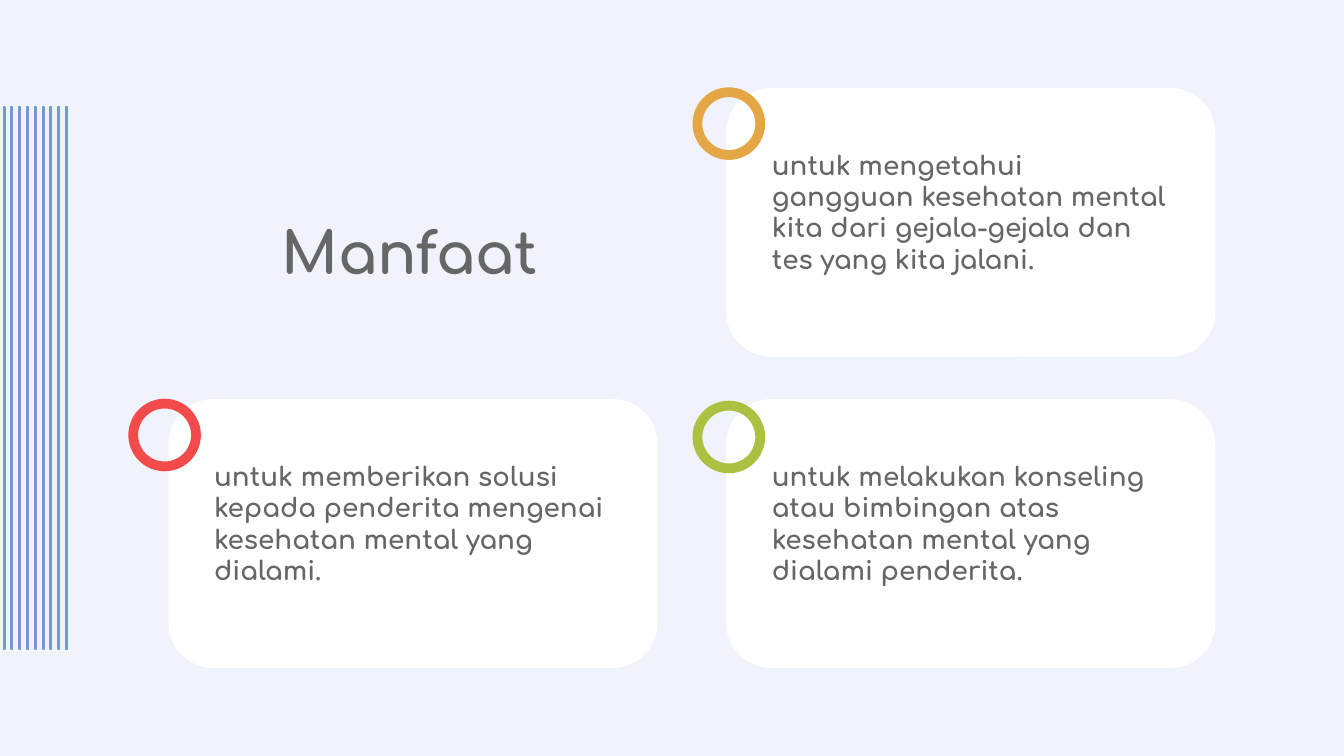
"""Build the "Manfaat" slide: a title, three ringed cards and a striped edge."""
from dataclasses import dataclass

from pptx import Presentation
from pptx.dml.color import RGBColor as Rgb
from pptx.enum.shapes import MSO_SHAPE as Kind
from pptx.enum.text import MSO_ANCHOR as Anchor
from pptx.util import Inches, Pt


@dataclass(frozen=True)
class Theme:
    font: str = "Comfortaa"
    back: str = "F0F3FB"
    card: str = "FFFFFF"
    ink: str = "666666"
    blue: str = "739BCF"
    red: str = "F34B4B"
    gold: str = "E5A645"
    green: str = "ACC141"
    head: float = 31
    body: float = 14


def write(box, text, theme, size, bold=True):
    frame = box.text_frame
    frame.word_wrap = True
    frame.vertical_anchor = Anchor.TOP
    frame.margin_left = frame.margin_right = Inches(0.1)
    frame.margin_top = frame.margin_bottom = Inches(0.1)
    run = frame.paragraphs[0].add_run()
    run.text = text
    font = run.font
    font.name, font.size, font.bold = theme.font, Pt(size), bold
    font.color.rgb = Rgb.from_string(theme.ink)


class Page:
    """Hold the theme and the slide, measured on a grid of columns and rows."""
    cols, rows = 100, 56.25

    def __init__(self, deck, theme):
        self.theme = theme
        self.wide, self.high = deck.slide_width, deck.slide_height
        self.slide = deck.slides.add_slide(deck.slide_layouts[6])
        fill = self.slide.background.fill
        fill.solid()
        fill.fore_color.rgb = Rgb.from_string(theme.back)

    def place(self, col, row, wide, high):
        x, y = self.wide / self.cols, self.high / self.rows
        return [round(n) for n in (col * x, row * y, wide * x, high * y)]

    def shape(self, kind, spot, color, bend=None, line=None):
        item = self.slide.shapes.add_shape(kind, *self.place(*spot))
        item.shadow.inherit = False
        item.fill.solid()
        item.fill.fore_color.rgb = Rgb.from_string(color)
        if bend is not None:
            item.adjustments[0] = bend
        if line is None:
            item.line.fill.background()
        else:
            item.line.color.rgb = Rgb.from_string(color)
            item.line.width = Pt(line)

    def card(self, col, row):
        self.shape(Kind.ROUNDED_RECTANGLE, (col, row, 36.4, 20), self.theme.card, bend=0.167)

    def ring(self, col, row, color):
        self.shape(Kind.DONUT, (col, row, 5.4, 5.4), color, bend=0.135)

    def stripe(self, col):
        self.shape(Kind.RECTANGLE, (col, 7.95, 0.12, 40.35), self.theme.blue, line=0.75)

    def text(self, spot, text, size):
        box = self.slide.shapes.add_textbox(*self.place(*spot))
        write(box, text, self.theme, size)


def main():
    deck = Presentation()
    deck.slide_width, deck.slide_height = Inches(10), Inches(5.625)
    theme = Theme()
    page = Page(deck, theme)
    left, right, top, low = 12.53, 54.03, 6.55, 29.7
    cards = [
        (left, low, 9.55, 29.67, theme.red,
         "untuk memberikan solusi kepada penderita mengenai kesehatan mental yang dialami."),
        (right, top, 51.53, 6.5, theme.gold,
         "untuk mengetahui gangguan kesehatan mental kita dari gejala-gejala dan tes yang kita jalani."),
        (right, low, 51.53, 29.82, theme.green,
         "untuk melakukan konseling atau bimbingan atas kesehatan mental yang dialami penderita."),
    ]
    page.text((19.95, 15.1, 21.7, 7.1), "Manfaat", theme.head)
    for col, row, ring_x, ring_y, color, text in cards:
        page.card(col, row)
        page.text((col + 2.42, row + 3.55, 31.6, 11.4), text, theme.body)
        page.ring(ring_x, ring_y, color)
    for i in range(9):
        page.stripe(0.25 + 0.58 * i)
    deck.save("out.pptx")


if __name__ == "__main__":
    main()
